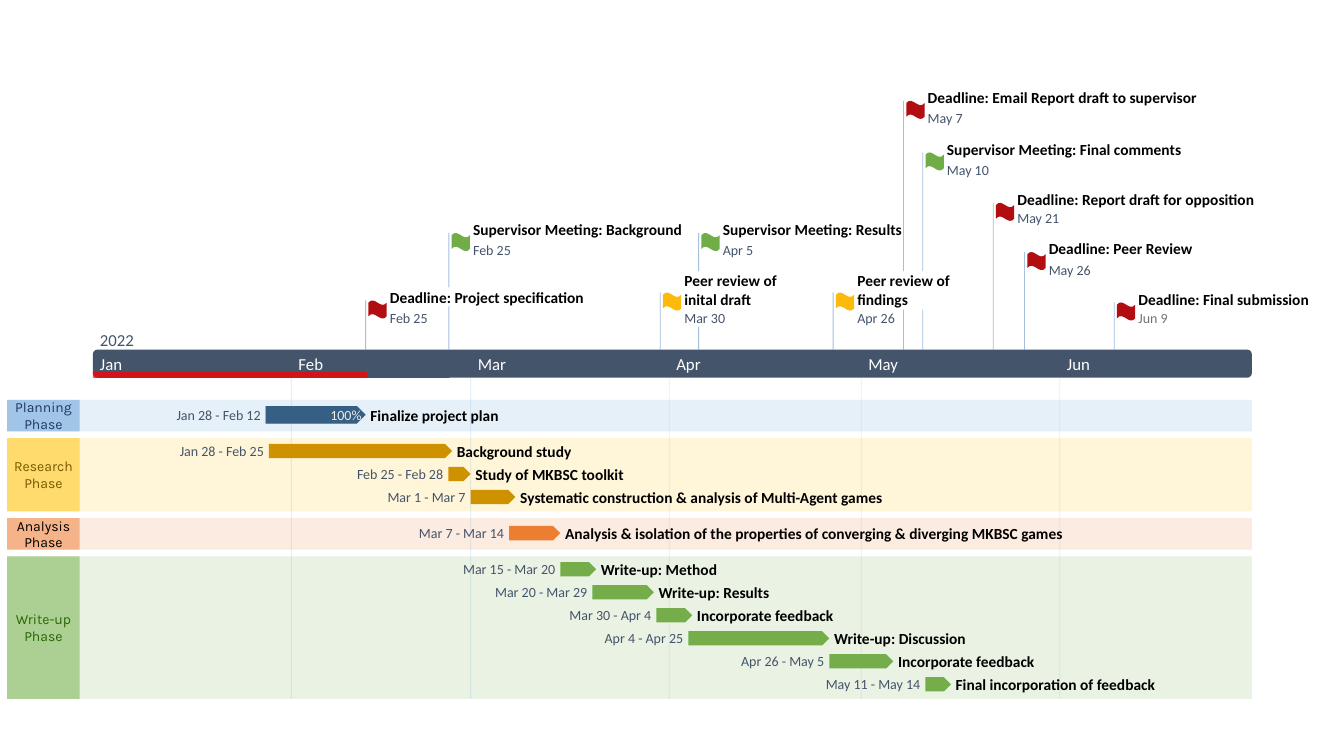
from lxml.etree import SubElement as Sub
from pptx import Presentation
from pptx.dml.color import RGBColor as RGB
from pptx.enum.shapes import MSO_CONNECTOR as Conn, MSO_SHAPE as Geo
from pptx.enum.text import MSO_ANCHOR as Anchor, PP_ALIGN as Align
from pptx.oxml.ns import qn
from pptx.util import Cm, Pt

BLUE = RGB(0x5B, 0x9B, 0xD5)
GOLD = RGB(0xFF, 0xC0, 0x00)
ORANGE = RGB(0xED, 0x7D, 0x31)
GREEN = RGB(0x70, 0xAD, 0x47)
SKY = RGB(0x52, 0x93, 0xCD)
OCHRE = RGB(0xCE, 0x92, 0x00)
LEAF = RGB(0x74, 0xAD, 0x49)
NAVY = RGB(0x20, 0x38, 0x64)
BROWN = RGB(0x76, 0x5A, 0x00)
MOSS = RGB(0x27, 0x67, 0x00)
SLATE = RGB(0x44, 0x54, 0x6A)
GREY = RGB(0x73, 0x73, 0x73)
STEM = RGB(0x4F, 0x81, 0xBD)
CRIMSON = RGB(0xB2, 0x0E, 0x12)
AMBER = RGB(0xFE, 0xBA, 0x0A)
RED = RGB(0xFF, 0x00, 0x00)
CREAM = RGB(0xEE, 0xEC, 0xE1)
BLACK = RGB(0, 0, 0)
WHITE = RGB(255, 255, 255)

# Centimetres; days count from 1 January
START, SPAN = 2.34, 29.21
DAY = SPAN / 181
AXIS = (START, 8.81, SPAN, 0.71)
LEFT, RIGHT, TOP = 0.18, START + SPAN, 10.08
ROW, GAP = 0.58, 0.17

MONTHS = [("Jan", 0), ("Feb", 31), ("Mar", 59), ("Apr", 90), ("May", 120), ("Jun", 151)]

# Label, lane colour, label colour, bar colour, tasks (name, dates, first day, last day)
LANES = [
    ("Planning Phase", BLUE, NAVY, SKY, [
        ("Finalize project plan", "Jan 28 - Feb 12", 27, 42.6)]),
    ("Research Phase", GOLD, BROWN, OCHRE, [
        ("Background study", "Jan 28 - Feb 25", 27.5, 56.1),
        ("Study of MKBSC toolkit", "Feb 25 - Feb 28", 55.5, 59),
        ("Systematic construction & analysis of Multi-Agent games",
         "Mar 1 - Mar 7", 59, 66)]),
    ("Analysis Phase", ORANGE, BLACK, ORANGE, [
        ("Analysis & isolation of the properties of converging & diverging MKBSC games",
         "Mar 7 - Mar 14", 65, 73)]),
    ("Write-up Phase", GREEN, MOSS, LEAF, [
        ("Write-up: Method", "Mar 15 - Mar 20", 73, 78.6),
        ("Write-up: Results", "Mar 20 - Mar 29", 78, 87.6),
        ("Incorporate feedback", "Mar 30 - Apr 4", 88, 93.6),
        ("Write-up: Discussion", "Apr 4 - Apr 25", 93, 115),
        ("Incorporate feedback", "Apr 26 - May 5", 115, 125),
        ("Final incorporation of feedback", "May 11 - May 14", 130, 134)]),
]

# Name, date, flag colour, day, top, drop to the date, break in the stem
EVENTS = [
    ("Deadline: Project specification", "Feb 25", CRIMSON, 42.6, 7.57, 0.44, None),
    ("Peer review of inital draft", "Mar 30", AMBER, 88.6, 7.37, 0.65, None),
    ("Peer review of findings", "Apr 26", AMBER, 115.6, 7.37, 0.65, None),
    ("Deadline: Report draft for opposition", "May 21", CRIMSON, 140.6, 5.11, 0.39, None),
    ("Deadline: Final submission", "Jun 9", CRIMSON, 159.5, 7.62, 0.39, None),
    ("Supervisor Meeting: Background", "Feb 25", GREEN, 55.6, 5.87, 0.44, (7.24, 7.72)),
    ("Supervisor Meeting: Results", "Apr 5", GREEN, 94.6, 5.87, 0.44, (6.83, 8.23)),
    ("Deadline: Email Report draft to supervisor", "May 7", CRIMSON, 126.6, 2.54, 0.44,
     (6.83, 7.8)),
    ("Supervisor Meeting: Final comments", "May 10", GREEN, 129.6, 3.84, 0.44, (6.83, 7.8)),
    ("Deadline: Peer Review", "May 26", CRIMSON, 145.5, 6.35, 0.44, None),
]


def at(day):
    return START + DAY * day


def fade(item, alpha):
    for tint in item._element.spPr.iter(qn("a:srgbClr")):
        Sub(tint, qn("a:alpha"), val=str(alpha * 1000))


def draw(slide, geo, box, color, alpha=100):
    form = slide.shapes.add_shape(geo, *map(Cm, box))
    form.shadow.inherit = False
    form.fill.solid()
    form.fill.fore_color.rgb = color
    form.line.fill.background()
    if alpha < 100:
        fade(form, alpha)


def rule(slide, x, top, end, color, alpha):
    line = slide.shapes.add_connector(Conn.STRAIGHT, Cm(x), Cm(top), Cm(x), Cm(end))
    line.line.color.rgb = color
    line.line.width = Pt(0.6)
    fade(line, alpha)
    Sub(line._element.spPr, qn("a:effectLst"))


def write(slide, box, text, size, color, bold=False, align=Align.LEFT, font="Calibri"):
    frame = slide.shapes.add_textbox(*map(Cm, box)).text_frame
    frame.margin_left = frame.margin_right = frame.margin_top = frame.margin_bottom = 0
    frame.word_wrap = True
    frame.vertical_anchor = Anchor.MIDDLE
    para = frame.paragraphs[0]
    para.text = text
    para.alignment = align
    face = para.font
    face.name, face.size, face.bold = font, Pt(size), bold
    face.color.rgb = color


def name(slide, x, mid, text):
    wide = 0.5 + 0.17 * len(text)
    write(slide, (x, mid - 0.24, wide, 0.48), text, 11, BLACK, True)


def date(slide, x, mid, text, color):
    write(slide, (x, mid - 0.22, 0.2 * len(text), 0.44), text, 10, color)


def event(slide, x, top, item):
    text, when, color, _, _, drop, cut = item
    # Stem down to the axis
    ends = [top, *(cut or ()), AXIS[1]]
    for head, foot in zip(ends[::2], ends[1::2]):
        rule(slide, x, head, foot, STEM, 50)
    # Flag and its words
    draw(slide, Geo.WAVE, (x + 0.07, top, 0.46, 0.46), color)
    left = x + 0.61
    if text.startswith("Peer"):
        write(slide, (left, top - 0.53, 2.44, 0.94), text, 11, BLACK, True)
    else:
        name(slide, left, top - 0.08, text)
    date(slide, left, top + drop, when, GREY if when == "Jun 9" else SLATE)


def axis(slide, box, foot):
    x, y, wide, high = box
    draw(slide, Geo.ROUNDED_RECTANGLE, box, SLATE)
    draw(slide, Geo.ROUNDED_RECTANGLE, (x, y + high - 0.15, 6.91, 0.15), RED, 75)
    write(slide, (x + 0.18, y - 0.5, 1.2, 0.5), "2022", 12, SLATE)
    for month, day in MONTHS:
        write(slide, (at(day) + 0.18, y + 0.1, 1.2, 0.5), month, 12, WHITE)
        if day:
            rule(slide, at(day), y + high, foot, BLUE, 15)


def task(slide, mid, item, color, done=False):
    text, when, first, last = item
    x, end = at(first), at(last)
    high = 0.44 if done else 0.36
    box = (x, mid - high / 2, end - x, high)
    draw(slide, Geo.PENTAGON, box, color)
    if done:
        draw(slide, Geo.PENTAGON, box, BLACK, 35)
        write(slide, (end - 0.89, mid - 0.22, 0.9, 0.44), "100%", 10, CREAM)
    write(slide, (x - 2.73, mid - 0.22, 2.6, 0.44), when, 10, SLATE, align=Align.RIGHT)
    name(slide, end + 0.12, mid, text)


def lane(slide, box, item):
    text, color, ink, _, _ = item
    x, y, _, high = box
    draw(slide, Geo.RECTANGLE, box, color, 15)
    tag = (x, y, 1.83, high)
    draw(slide, Geo.RECTANGLE, tag, color, 50)
    write(slide, tag, text, 10, ink, align=Align.CENTER, font="Karla")


def main():
    deck = Presentation()
    deck.slide_width, deck.slide_height = Cm(33.87), Cm(19.05)
    slide = deck.slides.add_slide(deck.slide_layouts[6])

    # Phase lanes
    y, mids = TOP, []
    for item in LANES:
        high = max(0.79, 0.11 + ROW * len(item[4]))
        lane(slide, (LEFT, y, RIGHT - LEFT, high), item)
        mids.append(y + high / 2 - 0.02)
        y += high + GAP

    # Milestones, then the time axis with its month lines
    for item in EVENTS:
        event(slide, at(item[3]), item[4], item)
    axis(slide, AXIS, y - GAP)

    # Task bars
    for mid, (_, _, _, color, tasks) in zip(mids, LANES):
        for i, item in enumerate(tasks):
            shift = (i - (len(tasks) - 1) / 2) * ROW
            task(slide, mid + shift, item, color, done=color == SKY)

    deck.save("out.pptx")


if __name__ == "__main__":
    main()
